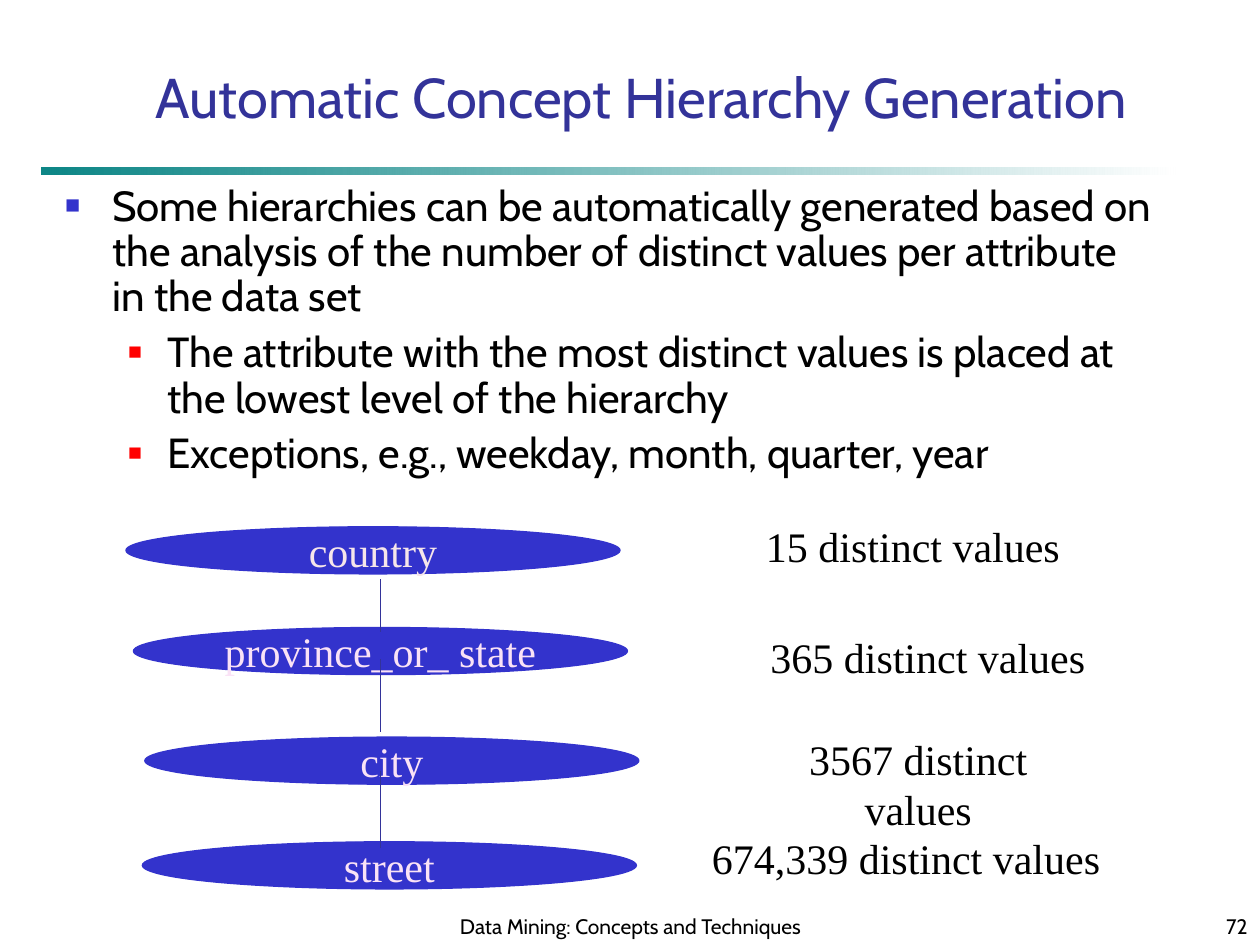
"""Build the slide on automatic concept hierarchy generation."""
import dataclasses
import typing

import lxml.etree
import pptx
import pptx.dml.color
import pptx.enum.shapes
import pptx.enum.text
import pptx.oxml.ns
import pptx.util

Cm = pptx.util.Cm
Pt = pptx.util.Pt
RGB = pptx.dml.color.RGBColor
Align = pptx.enum.text.PP_ALIGN
Anchor = pptx.enum.text.MSO_ANCHOR
Fit = pptx.enum.text.MSO_AUTO_SIZE
Kind = pptx.enum.shapes.MSO_SHAPE

BLACK = RGB(0x00, 0x00, 0x00)
WHITE = RGB(0xFF, 0xFF, 0xFF)
TEAL = RGB(0x00, 0x80, 0x80)
NAVY = RGB(0x33, 0x33, 0x99)
BLUE = RGB(0x33, 0x33, 0xCC)
RED = RGB(0xFF, 0x00, 0x00)
PALE = RGB(0xF6, 0xE6, 0xEA)
PINK = RGB(0xFA, 0xE2, 0xF6)
SANS = "Cabin"
SERIF = "Times New Roman"
AXIS = 7.67


class Box(typing.NamedTuple):
    left: float
    top: float
    width: float
    height: float


@dataclasses.dataclass
class Level:
    name: str
    oval: Box
    tint: RGB
    count: str
    label: Box
    wrap: bool = False


@dataclasses.dataclass
class Point:
    text: str
    depth: int
    left: float
    hang: float
    tint: RGB
    size: int


LEVELS = [
    Level("country", Box(2.54, 10.62, 9.96, 0.95), PALE,
          "15 distinct values", Box(15.19, 10.36, 6.43, 1.27)),
    Level("province_or_ state", Box(2.69, 12.65, 9.96, 0.95), PINK,
          "365 distinct values", Box(15.24, 12.6, 6.93, 1.27), True),
    Level("city", Box(2.92, 14.86, 9.96, 0.95), PINK,
          "3567 distinct values", Box(14.88, 14.66, 7.26, 1.27)),
    Level("street", Box(2.87, 16.97, 9.96, 0.95), PINK,
          "674,339 distinct values", Box(14.1, 16.66, 8.33, 1.27)),
]
LINKS = [(11.68, 12.75), (13.28, 14.76), (15.54, 17.09)]
POINTS = [
    Point("Some hierarchies can be automatically generated based on the analysis "
          "of the number of distinct values per attribute in the data set",
          0, 0.95, 0.95, BLUE, 60),
    Point("The attribute with the most distinct values is placed at the lowest "
          "level of the hierarchy", 1, 2.06, 0.79, RED, 55),
    Point("Exceptions, e.g., weekday, month, quarter, year",
          1, 2.06, 0.79, RED, 55),
]


def span(box: Box) -> list:
    """Return the box as lengths."""
    return [Cm(side) for side in box]


def place(shape, box: Box) -> None:
    """Move and size a shape."""
    shape.left, shape.top, shape.width, shape.height = span(box)


def node(owner, tag: str, **attrs: str):
    """Append a drawing element and return it."""
    return lxml.etree.SubElement(owner, pptx.oxml.ns.qn(tag), attrs)


def write(para, text: str, size: int, face: str, tint: RGB) -> None:
    """Add one formatted run."""
    run = para.add_run()
    run.text = text
    run.font.size = Pt(size)
    run.font.name = face
    run.font.color.rgb = tint


def label(slide, box: Box, text: str, size: int, face: str, side=Align.CENTER,
          anchor=Anchor.TOP, wrap: bool = True, fit=Fit.NONE) -> None:
    """Draw a text box of one line."""
    frame = slide.shapes.add_textbox(*span(box)).text_frame
    frame.word_wrap = wrap
    frame.auto_size = fit
    frame.vertical_anchor = anchor
    para = frame.paragraphs[0]
    para.alignment = side
    write(para, text, size, face, BLACK)


def oval(slide, level: Level) -> None:
    """Draw the ellipse of one level."""
    shape = slide.shapes.add_shape(Kind.OVAL, *span(level.oval))
    shape.shadow.inherit = False
    shape.fill.solid()
    shape.fill.fore_color.rgb = BLUE
    shape.line.color.rgb = BLUE
    shape.line.width = Pt(0.75)
    frame = shape.text_frame
    frame.word_wrap = False
    frame.vertical_anchor = Anchor.MIDDLE
    para = frame.paragraphs[0]
    para.alignment = Align.CENTER
    write(para, level.name, 24, SERIF, level.tint)


def link(slide, top: float, base: float) -> None:
    """Draw the line between two levels."""
    line = slide.shapes.add_connector(
        pptx.enum.shapes.MSO_CONNECTOR.STRAIGHT,
        Cm(AXIS), Cm(top), Cm(AXIS), Cm(base))
    line.line.color.rgb = NAVY
    line.line.width = Pt(0.75)
    node(line._element.spPr, "a:effectLst")


def rule(slide) -> None:
    """Draw the fading bar below the title."""
    bar = slide.shapes.add_shape(Kind.RECTANGLE, *span(Box(0.84, 3.38, 22.86, 0.14)))
    bar.shadow.inherit = False
    bar.line.fill.background()
    bar.fill.gradient()
    bar.fill.gradient_angle = 0
    for stop, tint in zip(bar.fill.gradient_stops, (TEAL, WHITE)):
        stop.color.rgb = tint
    first = bar._element.spPr.find(".//" + pptx.oxml.ns.qn("a:srgbClr"))
    node(first, "a:alpha", val="95000")


def head(slide) -> None:
    """Fill the title."""
    title = slide.shapes.title
    place(title, Box(2.11, 0.84, 21.64, 1.9))
    frame = title.text_frame
    frame.auto_size = Fit.NONE
    frame.vertical_anchor = Anchor.BOTTOM
    para = frame.paragraphs[0]
    para.alignment = Align.CENTER
    write(para, "Automatic Concept Hierarchy Generation", 32, SANS, NAVY)


def body(slide) -> None:
    """Fill the bullet list."""
    holder = slide.placeholders[1]
    place(holder, Box(1.06, 3.6, 22.43, 6.35))
    frame = holder.text_frame
    frame.auto_size = Fit.NONE
    for rank, point in enumerate(POINTS):
        para = frame.add_paragraph() if rank else frame.paragraphs[0]
        para.level = point.depth
        para.line_spacing = 0.9
        para.space_before = Pt(6)
        props = para._p.get_or_add_pPr()
        props.set("marL", str(Cm(point.left)))
        props.set("indent", str(-Cm(point.hang)))
        node(node(props, "a:buClr"), "a:srgbClr", val=str(point.tint))
        node(props, "a:buSzPct", val=str(point.size * 1000))
        node(props, "a:buFont", typeface=SERIF)
        node(props, "a:buChar", char="■")
        write(para, point.text, 24, SANS, BLACK)


def main() -> None:
    """Build and save the deck."""
    deck = pptx.Presentation()
    deck.slide_width, deck.slide_height = Cm(25.4), Cm(19.05)
    slide = deck.slides.add_slide(deck.slide_layouts[1])
    rule(slide)
    label(slide, Box(8.69, 17.98, 8.05, 1.07), "Data Mining: Concepts and Techniques",
          12, SANS, anchor=Anchor.BOTTOM)
    label(slide, Box(20.12, 17.98, 5.28, 1.07), "72", 12, SANS,
          side=Align.RIGHT, anchor=Anchor.BOTTOM)
    head(slide)
    body(slide)
    for level in LEVELS:
        oval(slide, level)
    for top, base in LINKS:
        link(slide, top, base)
    for level in LEVELS:
        label(slide, level.label, level.count, 24, SERIF,
              wrap=level.wrap, fit=Fit.SHAPE_TO_FIT_TEXT)
    deck.save("out.pptx")


if __name__ == "__main__":
    main()
